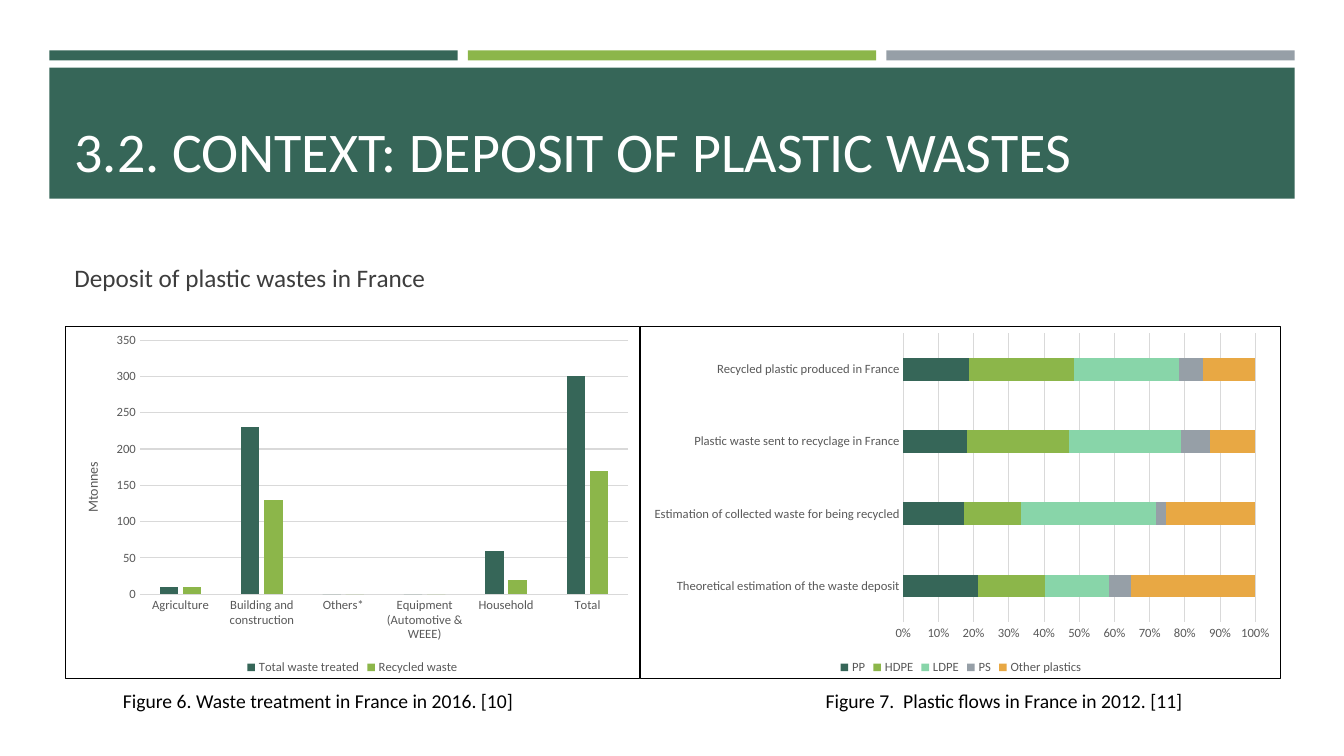
from lxml import etree
from pptx import Presentation
from pptx.chart.data import CategoryChartData
from pptx.dml.color import RGBColor
from pptx.enum.chart import XL_CHART_TYPE as ChartType
from pptx.enum.chart import XL_LEGEND_POSITION as LegendPos
from pptx.enum.chart import XL_TICK_MARK as TickMark
from pptx.enum.shapes import MSO_SHAPE as Shape
from pptx.enum.text import MSO_ANCHOR as Anchor
from pptx.enum.text import PP_ALIGN as Align
from pptx.oxml import parse_xml
from pptx.oxml.ns import nsdecls, qn
from pptx.util import Inches, Pt

FONT = "Calibri"
GREEN, LIME, MINT, GREY, ORANGE = "366658", "8CB64A", "88D5A9", "969FA7", "E8A844"
AXIS_TEXT, GRID_LINE = "595959", "D9D9D9"
LEFT, CONTENT_WIDTH = 0.64, 12.07
CHART_TOP, CHART_HEIGHT = 3.23, 3.51

TREATED = {
    "Total waste treated": (GREEN, [10, 230, 0, 0, 60, 300]),
    "Recycled waste": (LIME, [10, 130, 0, 0, 20, 170]),
}
SECTORS = ["Agriculture", "Building and construction", "Others*",
           "Equipment (Automotive & WEEE)", "Household", "Total"]
PLASTICS = {
    "PP": (GREEN, [21, 17, 18, 19]),
    "HDPE": (LIME, [19, 16, 29, 30]),
    "LDPE": (MINT, [18, 38, 32, 30]),
    "PS": (GREY, [6, 3, 8, 7]),
    "Other plastics": (ORANGE, [35, 25, 13, 15]),
}
STAGES = ["Theoretical estimation of the waste deposit",
          "Estimation of collected waste for being recycled",
          "Plastic waste sent to recyclage in France",
          "Recycled plastic produced in France"]


def rgb(code):
    return RGBColor.from_string(code)


def style(font, size, color):
    font.name, font.size, font.bold = FONT, Pt(size), False
    font.color.rgb = rgb(color)


def add_band(slide, box, color):
    band = slide.shapes.add_shape(Shape.RECTANGLE, *map(Inches, box))
    band.shadow.inherit = False
    band.fill.solid()
    band.fill.fore_color.rgb = rgb(color)
    band.line.fill.background()


def add_header(slide, box, heading):
    """Three thin strips above a filled title band."""
    left, top, width, height = box
    gap, strip_height = 0.1, 0.1
    strip_width = (width - 2 * gap) / 3
    for column, color in enumerate((GREEN, LIME, GREY)):
        add_band(slide, (left + column * (strip_width + gap), top,
                         strip_width, strip_height), color)
    band_top = top + 0.17
    add_band(slide, (left, band_top, width, height - 0.17), GREEN)

    title = slide.shapes.title
    title.left, title.top = Inches(LEFT), Inches(band_top + 0.09)
    title.width, title.height = Inches(CONTENT_WIDTH), Inches(1.11)
    slide.shapes._spTree.append(title._element)  # in front of the band
    write(title.text_frame, heading, 40, "FFFFFF", Anchor.BOTTOM)


def write(frame, text, size, color, anchor):
    frame.word_wrap = True
    frame.vertical_anchor = anchor
    paragraph = frame.paragraphs[0]
    paragraph.alignment = Align.LEFT
    run = paragraph.add_run()
    run.text = text
    style(run.font, size, color)


def add_text(slide, box, text, size, color, anchor=Anchor.TOP):
    frame = slide.shapes.add_textbox(*map(Inches, box)).text_frame
    write(frame, text, size, color, anchor)


def frame_chart(chart, plot_box):
    """Outline the chart and fix the inner plot area, given as shares."""
    space = chart._chartSpace
    space.find(qn("c:chart")).addnext(parse_xml(
        f'<c:spPr {nsdecls("c", "a")}><a:noFill/><a:ln w="9525"><a:solidFill>'
        '<a:srgbClr val="000000"/></a:solidFill></a:ln></c:spPr>'))
    plot_area = space.find(".//" + qn("c:plotArea"))
    for old in plot_area.findall(qn("c:layout")):
        plot_area.remove(old)
    layout = parse_xml(f'<c:layout {nsdecls("c")}><c:manualLayout/></c:layout>')
    settings = [("layoutTarget", "inner"), ("xMode", "edge"), ("yMode", "edge")]
    settings += zip("xywh", map(str, plot_box))
    for tag, value in settings:
        etree.SubElement(layout[0], qn("c:" + tag)).set("val", value)
    plot_area.insert(0, layout)


def add_bar_chart(slide, box, kind, categories, series, overlap, number_format, plot_box):
    data = CategoryChartData()
    data.categories = categories
    for name, (_, values) in series.items():
        data.add_series(name, values)
    chart = slide.shapes.add_chart(kind, *map(Inches, box), data).chart
    style(chart.font, 10, "000000")
    chart.has_title = False
    chart.has_legend = True
    chart.legend.position = LegendPos.BOTTOM
    chart.legend.include_in_layout = False
    style(chart.legend.font, 9, AXIS_TEXT)

    plot = chart.plots[0]
    plot.gap_width, plot.overlap, plot.vary_by_categories = 219, overlap, False
    for bars, (color, _) in zip(plot.series, series.values()):
        bars.format.fill.solid()
        bars.format.fill.fore_color.rgb = rgb(color)
        bars.invert_if_negative = False

    for axis in (chart.category_axis, chart.value_axis):
        axis.major_tick_mark = axis.minor_tick_mark = TickMark.NONE
        style(axis.tick_labels.font, 9, AXIS_TEXT)
    values_axis = chart.value_axis
    values_axis.format.line.fill.background()
    values_axis.has_major_gridlines = True
    values_axis.tick_labels.number_format = number_format
    values_axis.tick_labels.number_format_is_linked = False
    for line in (chart.category_axis.format.line, values_axis.major_gridlines.format.line):
        line.color.rgb = rgb(GRID_LINE)
        line.width = Pt(0.75)
    frame_chart(chart, plot_box)
    return chart


def add_treatment_chart(slide, box):
    chart = add_bar_chart(slide, box, ChartType.COLUMN_CLUSTERED, SECTORS, TREATED,
                          -27, "General", (0.13, 0.04, 0.85, 0.72))
    axis = chart.value_axis
    axis.minimum_scale, axis.maximum_scale, axis.major_unit = 0, 350, 50
    frame = axis.axis_title.text_frame
    run = frame.paragraphs[0].add_run()
    run.text = "Mtonnes"
    style(run.font, 10, AXIS_TEXT)
    direction = frame._txBody.find(qn("a:bodyPr"))
    direction.set("rot", "-5400000")
    direction.set("vert", "horz")


def add_flow_chart(slide, box):
    chart = add_bar_chart(slide, box, ChartType.BAR_STACKED_100, STAGES, PLASTICS,
                          100, "0%", (0.41, 0.02, 0.55, 0.82))
    axis = chart.value_axis
    axis.minimum_scale, axis.maximum_scale, axis.major_unit = 0, 1, 0.1


def main():
    deck = Presentation()
    deck.slide_width, deck.slide_height = Inches(13.33), Inches(7.5)
    slide = deck.slides.add_slide(deck.slide_layouts[5])
    add_header(slide, (0.49, 0.5, 12.35, 1.47), "3.2. CONTEXT: DEPOSIT OF PLASTIC WASTES")
    add_text(slide, (LEFT, 2.55, CONTENT_WIDTH, 0.4),
             "Deposit of plastic wastes in France", 18, "3D3D3D", Anchor.MIDDLE)
    split = 5.71
    add_flow_chart(slide, (LEFT + split, CHART_TOP, CONTENT_WIDTH - split, CHART_HEIGHT))
    add_treatment_chart(slide, (LEFT, CHART_TOP, split, CHART_HEIGHT))
    caption_top = CHART_TOP + CHART_HEIGHT + 0.05
    add_text(slide, (1.12, caption_top, 5.45, 0.34),
             "Figure 6. Waste treatment in France in 2016. [10]", 14, "000000")
    add_text(slide, (8.09, caption_top, 3.84, 0.34),
             "Figure 7.  Plastic flows in France in 2012. [11]", 14, "000000")
    deck.save("out.pptx")


if __name__ == "__main__":
    main()
